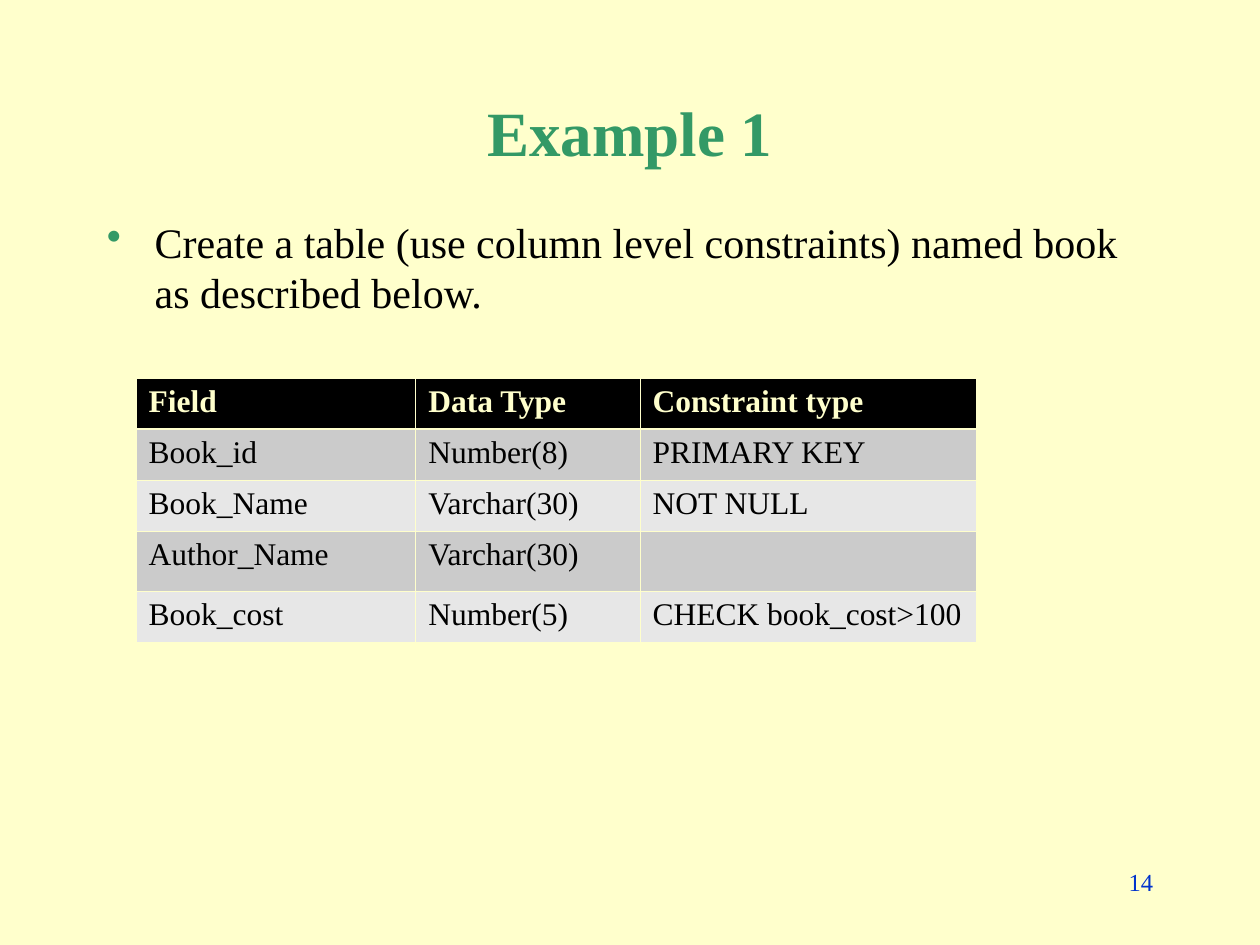
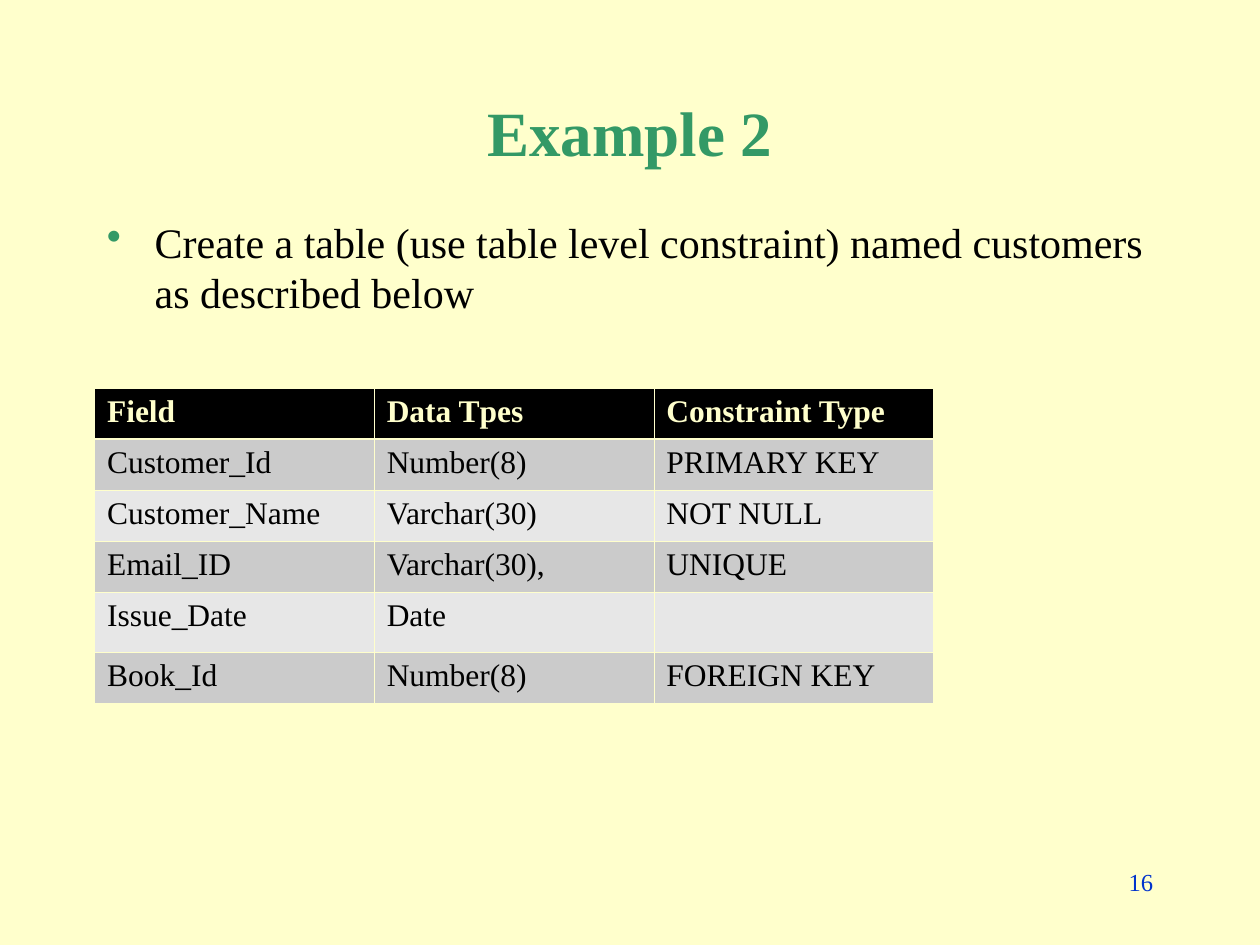
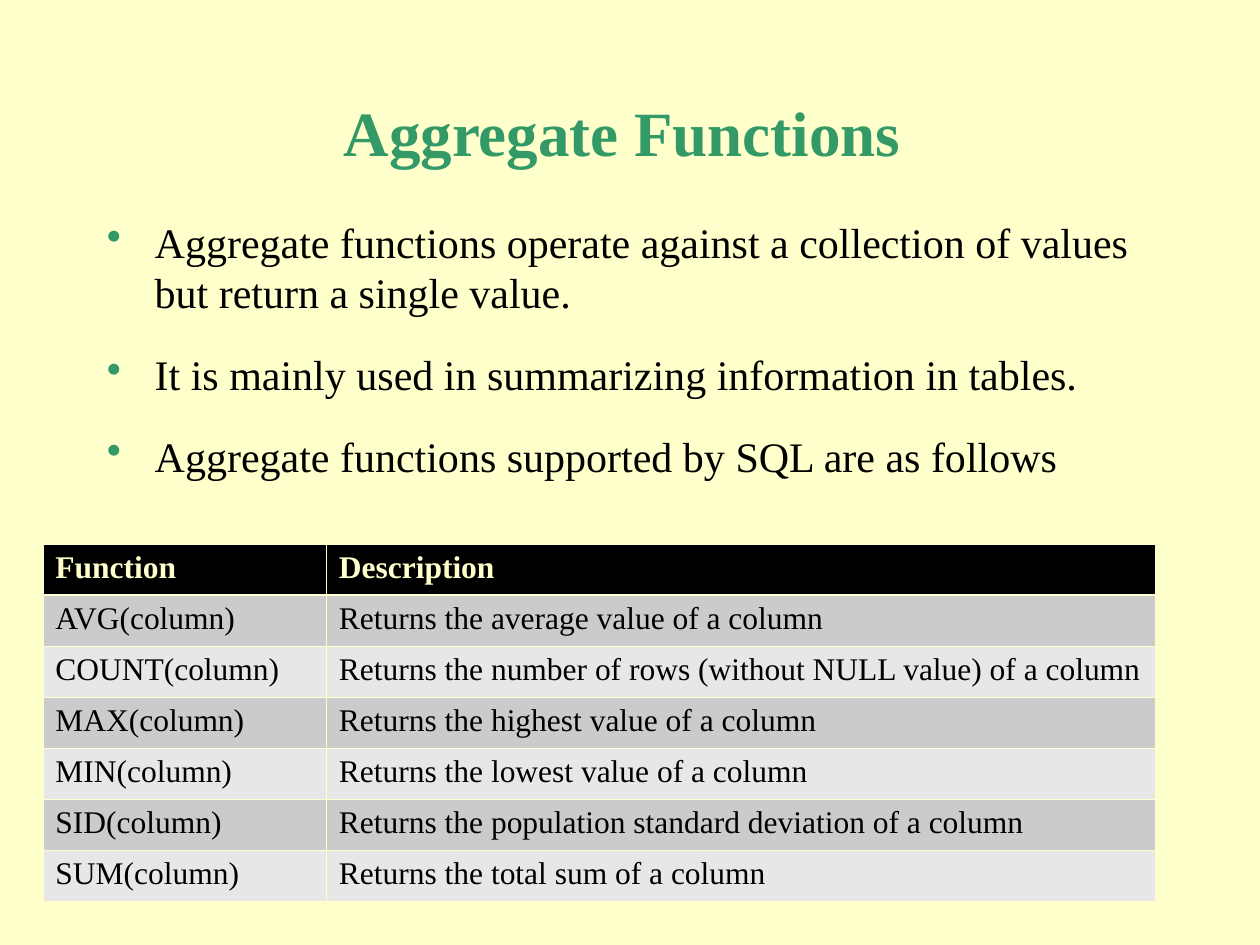
from pptx import Presentation
from pptx.dml.color import RGBColor
from pptx.enum import text
from pptx.oxml import parse_xml
from pptx.oxml.ns import nsdecls
from pptx.util import Inches, Pt

CREAM = RGBColor(0xFF, 0xFF, 0xCC)
GREEN = RGBColor(0x33, 0x99, 0x66)
BLUE = RGBColor(0x00, 0x33, 0xCC)
BLACK = RGBColor(0, 0, 0)
BANDS = [RGBColor(0xE7, 0xE7, 0xE7), RGBColor(0xCB, 0xCB, 0xCB)]
FONT = "Times New Roman"
ROW, TALL = 0.405, 0.48
THIN, THICK = 0.45, 1.47

SLIDES = [
    {
        "title": "Example 1",
        "points": ["Create a table (use column level constraints) named book as described below."],
        "page": "14",
        "spot": (1.08, 3),
        "cols": (2.22, 1.78, 2.67),
        "rows": [
            ("Field", "Data Type", "Constraint type"),
            ("Book_id", "Number(8)", "PRIMARY KEY"),
            ("Book_Name", "Varchar(30)", "NOT NULL"),
            ("Author_Name", "Varchar(30)", ""),
            ("Book_cost", "Number(5)", "CHECK book_cost>100"),
        ],
    },
    {
        "title": "Example 2",
        "points": ["Create a table (use table level constraint) named customers as described below"],
        "page": "16",
        "spot": (0.75, 3.08),
        "cols": (2.22, 2.22, 2.22),
        "rows": [
            ("Field", "Data Tpes", "Constraint Type"),
            ("Customer_Id", "Number(8)", "PRIMARY KEY"),
            ("Customer_Name", "Varchar(30)", "NOT NULL"),
            ("Email_ID", "Varchar(30),", "UNIQUE"),
            ("Issue_Date", "Date", ""),
            ("Book_Id", "Number(8)", "FOREIGN KEY"),
        ],
    },
    {
        "title": "Aggregate Functions ",
        "points": [
            "Aggregate functions operate against a collection of values but return a single value.",
            "It is mainly used in summarizing information in tables.",
            "Aggregate functions supported by SQL are as follows",
        ],
        "page": "",
        "spot": (0.34, 4.32),
        "cols": (2.25, 6.58),
        "rows": [
            ("Function", "Description"),
            ("AVG(column)", "Returns the average value of a column"),
            ("COUNT(column)", "Returns the number of rows (without NULL value) of a column"),
            ("MAX(column)", "Returns the highest value of a column"),
            ("MIN(column)", "Returns the lowest value of a column"),
            ("SID(column)", "Returns the population standard deviation of a column"),
            ("SUM(column)", "Returns the total sum of a column"),
        ],
    },
]


def style(para, size, color, bold=False):
    font = para.font
    font.name, font.size, font.bold = FONT, Pt(size), bold
    font.color.rgb = color


def add_box(slide, spot, lines, size, color, bold=False, align=None, anchor=None, bullet=False):
    frame = slide.shapes.add_textbox(*map(Inches, spot)).text_frame
    frame.word_wrap = True
    frame.vertical_anchor = anchor
    for i, line in enumerate(lines):
        para = frame.add_paragraph() if i else frame.paragraphs[0]
        para.text = line
        para.alignment = align
        if bullet:
            add_bullet(para)
        if i:
            para.space_before = Pt(18)
        style(para, size, color, bold)


def add_bullet(para):
    props = para._p.get_or_add_pPr()
    props.set("marL", str(Inches(0.38)))
    props.set("indent", str(-Inches(0.38)))
    props.append(parse_xml(f'<a:buClr {nsdecls("a")}><a:srgbClr val="{GREEN}"/></a:buClr>'))
    props.append(parse_xml(f'<a:buChar {nsdecls("a")} char="•"/>'))


def add_edges(cell, top, bottom):
    props = cell._tc.get_or_add_tcPr()
    for side, width in zip("LRTB", (THIN, THIN, top, bottom)):
        props.append(parse_xml(
            f'<a:ln{side} {nsdecls("a")} w="{Pt(width)}"><a:solidFill>'
            f'<a:srgbClr val="{CREAM}"/></a:solidFill></a:ln{side}>'))


def add_grid(slide, spot, cols, rows):
    highs = [ROW if all(row) else TALL for row in rows]
    size = spot + (sum(cols), sum(highs))
    table = slide.shapes.add_table(len(rows), len(cols), *map(Inches, size)).table
    for col, width in zip(table.columns, cols):
        col.width = Inches(width)
    for r, row in enumerate(rows):
        table.rows[r].height = Inches(highs[r])
        for c, label in enumerate(row):
            cell = table.cell(r, c)
            cell.text = label
            add_edges(cell, THICK if r == 1 else THIN, THIN if r else THICK)
            cell.fill.solid()
            cell.fill.fore_color.rgb = BANDS[r % 2] if r else BLACK
            style(cell.text_frame.paragraphs[0], 18, BLACK if r else CREAM, r == 0)


def main():
    deck = Presentation()
    deck.slide_width, deck.slide_height = Inches(10), Inches(7.5)
    back = deck.slide_master.background.fill
    back.solid()
    back.fore_color.rgb = CREAM
    for data in SLIDES:
        slide = deck.slides.add_slide(deck.slide_layouts[6])
        add_box(slide, (0.75, 0.67, 8.5, 0.75), [data["title"]], 36, GREEN, True,
                text.PP_ALIGN.CENTER, text.MSO_ANCHOR.MIDDLE)
        add_box(slide, (0.75, 1.67, 8.5, 5), data["points"], 24, BLACK, bullet=True)
        if data["page"]:
            add_box(slide, (7.17, 6.83, 2.08, 0.5), [data["page"]], 14, BLUE,
                    align=text.PP_ALIGN.RIGHT)
        add_grid(slide, data["spot"], data["cols"], data["rows"])
    deck.save("out.pptx")


if __name__ == "__main__":
    main()
